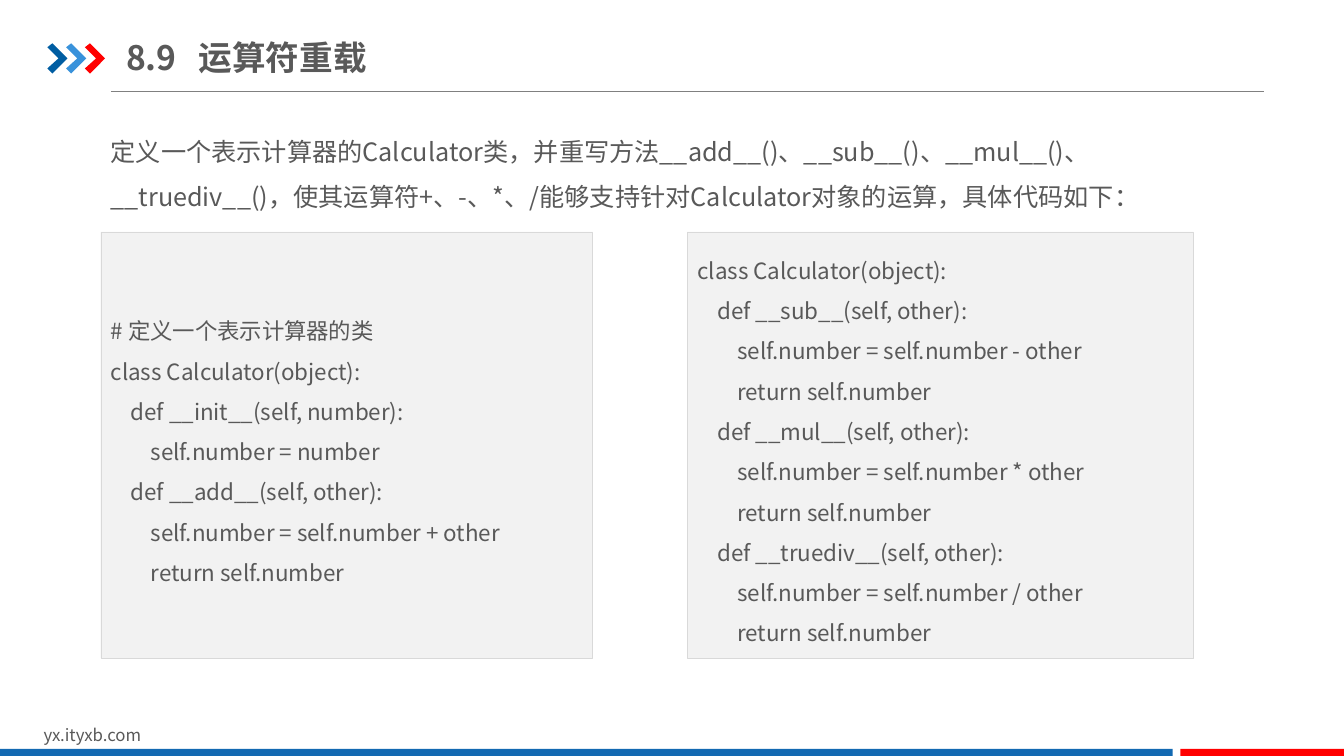
"""Build the operator overloading slide with its two code panels."""
from lxml import etree
from pptx import Presentation
from pptx.dml.color import RGBColor
from pptx.enum.shapes import MSO_CONNECTOR, MSO_SHAPE
from pptx.enum.text import MSO_ANCHOR, MSO_AUTO_SIZE, PP_ALIGN
from pptx.oxml.ns import qn
from pptx.util import Emu, Inches, Pt

LINE, RECT = MSO_CONNECTOR.STRAIGHT, MSO_SHAPE.RECTANGLE
TOP, MIDDLE = MSO_ANCHOR.TOP, MSO_ANCHOR.MIDDLE
LEFT, FIXED = PP_ALIGN.LEFT, MSO_AUTO_SIZE.NONE

HUES = {
    "text": "595959", "rule": "808080", "navy": "005DA2", "sky": "3992DB",
    "red": "FF0000", "blue": "1369B2", "panel": "F2F2F2", "edge": "D9D9D9",
}
FONT = "Noto Sans CJK SC"
CHEVRON = [(0, 0.53), (0.38, 0), (1.5, 2), (0.38, 4), (0, 3.33), (0.83, 2)]

INTRO = (
    "定义一个表示计算器的Calculator类，并重写方法__add__()、__sub__()、__mul__()、"
    "__truediv__()，使其运算符+、-、*、/能够支持针对Calculator对象的运算，具体代码如下："
)
ADD = """# 定义一个表示计算器的类
class Calculator(object):
    def __init__(self, number):
        self.number = number
    def __add__(self, other):
        self.number = self.number + other
        return self.number"""
REST = """class Calculator(object):
    def __sub__(self, other):
        self.number = self.number - other
        return self.number
    def __mul__(self, other):
        self.number = self.number * other
        return self.number
    def __truediv__(self, other):
        self.number = self.number / other
        return self.number"""


class Deck:
    """Hold the style and the current slide, on a grid of 100 by 100."""

    def __init__(self):
        self.show = Presentation()
        self.show.slide_width = Inches(13.33)
        self.show.slide_height = Inches(7.5)
        self.slide = self.show.slides.add_slide(self.show.slide_layouts[5])
        self.shapes = self.slide.shapes

    def spot(self, x, y):
        return (Emu(round(self.show.slide_width * x / 100)),
                Emu(round(self.show.slide_height * y / 100)))

    def hue(self, name):
        return RGBColor.from_string(HUES[name])

    def paint(self, shape, fill, edge=None):
        shape.shadow.inherit = False
        shape.fill.solid()
        shape.fill.fore_color.rgb = self.hue(fill)
        if edge:
            shape.line.color.rgb = self.hue(edge)
            shape.line.width = Pt(0.25)
        else:
            shape.line.fill.background()

    def words(self, frame, text, size, space=1, anchor=TOP, bold=False, tab=None):
        frame.word_wrap = True
        frame.auto_size = FIXED
        frame.vertical_anchor = anchor
        for i, line in enumerate(text.split("\n")):
            para = frame.paragraphs[0] if i == 0 else frame.add_paragraph()
            para.text = line
            para.alignment = LEFT
            para.line_spacing = space
            if tab:
                stops = etree.SubElement(para._p.get_or_add_pPr(), qn("a:tabLst"))
                etree.SubElement(stops, qn("a:tab"), pos=str(tab), algn="l")
            font = para.font
            font.size = Pt(size)
            font.bold = bold
            font.name = FONT
            font.color.rgb = self.hue("text")
            etree.SubElement(font._element, qn("a:ea"), typeface=FONT)

    def title(self, text, x, y, w, h):
        head = self.shapes.title
        head.left, head.top = self.spot(x, y)
        head.width, head.height = self.spot(w, h)
        frame = head.text_frame
        frame.margin_left = frame.margin_right = 0
        frame.margin_top = frame.margin_bottom = Inches(0.07)
        self.words(frame, text, 24, anchor=MIDDLE, bold=True, tab=Inches(0.72))

    def label(self, text, x, y, w, h, size, space=1):
        box = self.shapes.add_textbox(*self.spot(x, y), *self.spot(w, h))
        self.words(box.text_frame, text, size, space)

    def bar(self, x, y, w, h, fill, edge=None):
        bar = self.shapes.add_shape(RECT, *self.spot(x, y), *self.spot(w, h))
        self.paint(bar, fill, edge)
        return bar

    def code(self, text, x, w):
        panel = self.bar(x, 30.67, w, 56.4, "panel", "edge")
        self.words(panel.text_frame, text, 16, 1.5, MIDDLE)

    def rule(self, x, y, end):
        rule = self.shapes.add_connector(LINE, *self.spot(x, y), *self.spot(end, y))
        rule.line.color.rgb = self.hue("rule")
        rule.line.width = Pt(0.75)
        etree.SubElement(rule._element.spPr, qn("a:effectLst"))

    def arrow(self, x, y, fill):
        dots = [self.spot(x + dx, y + dy) for dx, dy in CHEVRON]
        form = self.shapes.build_freeform(*dots[0], scale=1.0)
        form.add_line_segments(dots[1:], close=True)
        self.paint(form.convert_to_shape(), fill)


def main():
    deck = Deck()
    deck.rule(8.25, 12.13, 94.05)
    for i, fill in enumerate(("navy", "sky", "red")):
        deck.arrow(3.52 + 1.4 * i, 5.73, fill)
    deck.label("yx.ityxb.com", 2.5, 95.2, 23.85, 4, 12)
    deck.bar(0, 99.05, 87.25, 0.95, "blue")
    deck.bar(87.83, 99.05, 12.17, 0.95, "red")
    deck.title("8.9\t运算符重载", 9.38, 3.87, 37.65, 7.33)
    deck.label(INTRO, 7.5, 15.33, 82.65, 17.87, 18, 1.5)
    deck.code(ADD, 7.5, 36.6)
    deck.code(REST, 51.15, 37.65)
    deck.show.save("out.pptx")


if __name__ == "__main__":
    main()
